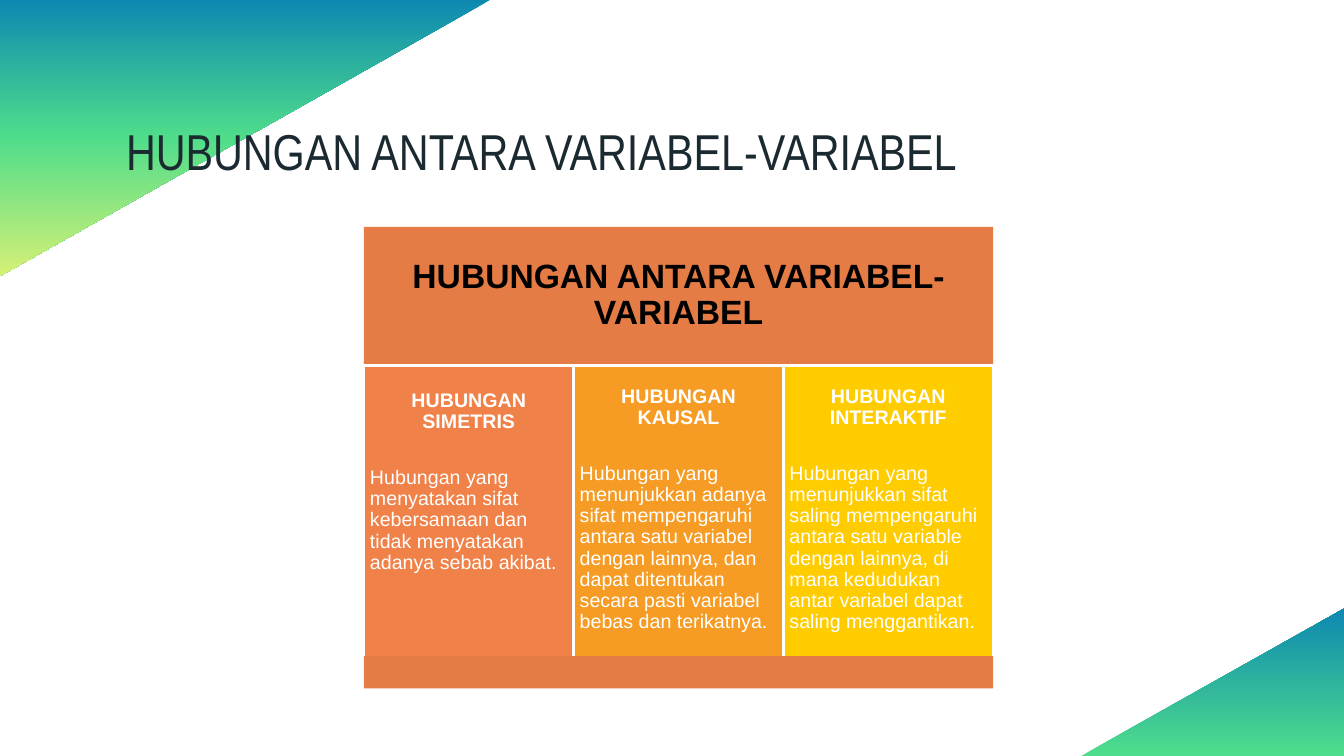
from dataclasses import dataclass
from typing import Any

from lxml import etree
from pptx import Presentation
from pptx.dml.color import RGBColor
from pptx.enum import shapes, text
from pptx.oxml import ns
from pptx.util import Inches, Pt

COLORS = {
    "blue": "0D89B1", "green": "50DD8B", "lime": "D6F075",
    "ink": "1A2A30", "black": "000000", "white": "FFFFFF",
    "band": "E57B45", "symmetric": "F08148", "causal": "F69C25",
    "interactive": "FFCC00",
}
LEFT, WIDTH = 3.61, 6.24
CARD_TOP, CARD_HEIGHT = 3.63, 2.89


@dataclass(frozen=True)
class Corner:
    left: float
    top: float
    width: float
    height: float
    rotation: int
    stops: tuple[tuple[int, str], ...]


@dataclass(frozen=True)
class Relation:
    heading: str
    description: str
    color: str
    top_inset: float


CORNERS = [
    Corner(1.06, -1.06, 2.74, 4.86, 90, ((0, "blue"), (50, "green"), (100, "lime"))),
    Corner(11.29, 5.46, 1.47, 2.62, 270, ((0, "green"), (100, "blue"))),
]
RELATIONS = [
    Relation("HUBUNGAN SIMETRIS",
             "Hubungan yang menyatakan sifat kebersamaan dan tidak menyatakan "
             "adanya sebab akibat.", "symmetric", 0.24),
    Relation("HUBUNGAN KAUSAL",
             "Hubungan yang menunjukkan adanya sifat mempengaruhi antara satu "
             "variabel dengan lainnya, dan dapat ditentukan secara pasti "
             "variabel bebas dan terikatnya.", "causal", 0.2),
    Relation("HUBUNGAN INTERAKTIF",
             "Hubungan yang menunjukkan sifat saling mempengaruhi antara satu "
             "variable dengan lainnya, di mana kedudukan antar variabel dapat "
             "saling menggantikan.", "interactive", 0.2),
]


def rgb(color: str) -> RGBColor:
    return RGBColor.from_string(COLORS[color])


def add_corner(slide: Any, corner: Corner) -> None:
    triangle = slide.shapes.add_shape(
        shapes.MSO_SHAPE.RIGHT_TRIANGLE, Inches(corner.left), Inches(corner.top),
        Inches(corner.width), Inches(corner.height))
    triangle.rotation = corner.rotation
    triangle.shadow.inherit = False
    triangle.line.fill.background()
    triangle.fill.gradient()
    triangle.fill.gradient_angle = 0
    stop_list = triangle.element.spPr.find(".//" + ns.qn("a:gsLst"))
    for stop in list(stop_list):
        stop_list.remove(stop)
    for percent, color in corner.stops:
        stop = etree.SubElement(stop_list, ns.qn("a:gs"), pos=str(percent * 1000))
        etree.SubElement(stop, ns.qn("a:srgbClr"), val=COLORS[color])


def add_block(slide: Any, left: float, top: float, width: float, height: float,
              color: str, outlined: bool = False) -> Any:
    block = slide.shapes.add_shape(
        shapes.MSO_SHAPE.RECTANGLE, Inches(left), Inches(top),
        Inches(width), Inches(height))
    block.shadow.inherit = False
    block.fill.solid()
    block.fill.fore_color.rgb = rgb(color)
    if outlined:
        block.line.color.rgb = rgb("white")
        block.line.width = Pt(2)
    else:
        block.line.fill.background()
    return block


def set_frame(frame: Any, anchor: Any, side: float, top: float) -> None:
    frame.word_wrap = True
    frame.vertical_anchor = anchor
    frame.margin_left = frame.margin_right = Inches(side)
    frame.margin_top = Inches(top)
    frame.margin_bottom = Inches(side)


def write(paragraph: Any, words: str, *, size: int, color: str, font: str = "Arial",
          bold: bool = False, centered: bool = False, after: int = 0) -> None:
    paragraph.alignment = text.PP_ALIGN.CENTER if centered else text.PP_ALIGN.LEFT
    paragraph.line_spacing = 0.9
    paragraph.space_after = Pt(after)
    run = paragraph.add_run()
    run.text = words
    run.font.name = font
    run.font.size = Pt(size)
    run.font.bold = bold
    run.font.color.rgb = rgb(color)


def add_relation(slide: Any, relation: Relation, left: float, width: float) -> None:
    card = add_block(slide, left, CARD_TOP, width, CARD_HEIGHT, relation.color, True)
    frame = card.text_frame
    set_frame(frame, text.MSO_ANCHOR.TOP, 0.06, relation.top_inset)
    write(frame.paragraphs[0], relation.heading, size=14, color="white",
          bold=True, centered=True, after=25)
    write(frame.add_paragraph(), relation.description, size=14, color="white")


def main() -> None:
    deck = Presentation()
    deck.slide_width, deck.slide_height = Inches(13.33), Inches(7.5)
    slide = deck.slides.add_slide(deck.slide_layouts[6])

    for corner in CORNERS:
        add_corner(slide, corner)

    topic = "HUBUNGAN ANTARA VARIABEL-VARIABEL"
    title = slide.shapes.add_textbox(
        Inches(1.25), Inches(1.22), Inches(10.85), Inches(0.58)).text_frame
    set_frame(title, text.MSO_ANCHOR.BOTTOM, 0, 0)
    write(title.paragraphs[0], topic, size=36, color="ink", font="Arial Narrow")

    header = add_block(slide, LEFT, 2.25, WIDTH, 1.37, "band").text_frame
    set_frame(header, text.MSO_ANCHOR.MIDDLE, 0.1, 0.1)
    write(header.paragraphs[0], topic, size=24, color="black", bold=True, centered=True)

    card_width = WIDTH / len(RELATIONS)
    for column, relation in enumerate(RELATIONS):
        add_relation(slide, relation, LEFT + column * card_width, card_width)

    add_block(slide, LEFT, 6.51, WIDTH, 0.32, "band")
    deck.save("out.pptx")


if __name__ == "__main__":
    main()
